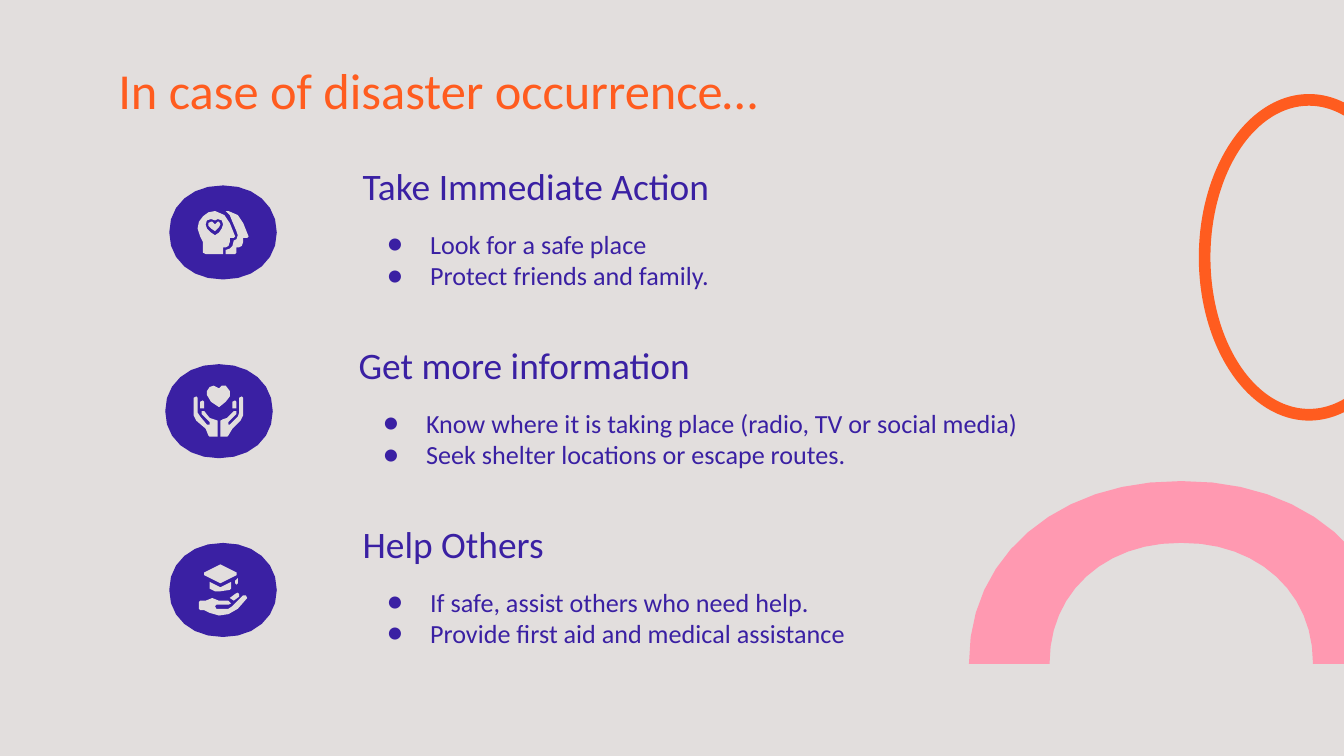
"""Build a slide of three disaster-response steps with icons and bulleted advice."""
import math

from lxml import etree
from pptx import Presentation
from pptx import util as u
from pptx.dml.color import RGBColor
from pptx.enum import shapes, text
from pptx.oxml import ns

PX = 9144
FONT = "Calibri"
COLORS = {"background": "E2DEDD", "orange": "FF5C1F", "purple": "3A20A3", "pink": "FF99B1"}
ROW_STEP = 133
ROUNDNESS = 2 / 2.12
ANGLES = [2 * math.pi * step / 48 for step in range(48)]
ROUND = [(math.copysign(abs(math.cos(angle)) ** ROUNDNESS, math.cos(angle)),
          math.copysign(abs(math.sin(angle)) ** ROUNDNESS, math.sin(angle)))
         for angle in ANGLES]

HEADS_ICON = [
    "168 157,171 160,173 165,176 172,177 175,176 178,174 179,173 183,171 185,168 186,"
    "168 189,175 189,176 188,176 184,178 184,180 183,181 180,181 177,184 177,185 176,"
    "181 166,177 160,170 157",
    "157 165,155 166,155 168,157 170,160 172,163 169,164 167,163 165,162 165,160 167,158 165",
    "162 163,160 164,157 163,154 164,153 167,154 170,157 173,160 175,163 173,165 170,"
    "166 167,165 164/"
    "160 157,155 158,151 161,148 165,147 170,149 176,151 180,151 188,153 189,166 189,"
    "166 184,168 184,170 183,171 180,171 177,174 177,175 176,171 166,167 160",
]
HANDS_ICON = [
    "159 287,156 288,154 291,154 294,157 299,163 303,168 299,171 295,171 291,168 287,"
    "165 287,163 289,161 288",
    "151 298,149 299,149 304,152 304,152 299",
    "175 298,173 299,173 304,176 304,176 299",
    "180 295,178 296,178 307,177 310,171 316,170 316,170 314,176 308,176 306,174 306,"
    "169 311,166 312,164 313,164 325,169 325,170 324,173 319,179 313,181 309,181 296",
    "146 295,144 296,144 305,144 309,146 313,153 319,155 324,156 325,162 325,162 313,"
    "156 311,152 306,150 306,150 308,156 314,156 316,154 316,149 310,147 307,147 296",
]
GRADUATION_ICON = [
    "156 433,156 438,160 440,164 440,171 439,172 438,172 433,164 437",
    "177 430,175 432,175 434,176 435,177 434",
    "164 420,152 426,152 428,164 434,176 428,176 426",
    "177 441,175 442,171 445,174 447,178 444,178 442",
    "182 443,181 443,173 451,170 453,161 453,160 451,161 450,170 450,172 449,170 447,"
    "163 447,158 445,153 447,149 447,148 448,148 453,149 454,152 454,156 456,163 458,"
    "170 457,177 453,184 445,183 443",
]
ROWS = [
    (260, 411, "Take Immediate Action", HEADS_ICON,
     ["Look for a safe place", "Protect friends and family."]),
    (257, 621, "Get more information", HANDS_ICON,
     ["Know where it is taking place (radio, TV or social media)",
      "Seek shelter locations or escape routes."]),
    (260, 434, "Help Others", GRADUATION_ICON,
     ["If safe, assist others who need help.", "Provide first aid and medical assistance"]),
]


def draw(contours, color):
    """Fill one shape made of closed contours."""
    builder = None
    for contour in contours:
        vertices = [(round(x * PX), round(y * PX)) for x, y in contour]
        if builder is None:
            builder = slide.shapes.build_freeform(*vertices[0], scale=1.0)
        else:
            builder.move_to(*vertices[0])
        builder.add_line_segments(vertices[1:], close=True)
    shape = builder.convert_to_shape()
    shape.shadow.inherit = False
    shape.fill.solid()
    shape.fill.fore_color.rgb = RGBColor.from_string(COLORS[color])
    shape.line.fill.background()


def write(shape, box, lines, size, color, anchor=text.MSO_ANCHOR.TOP, bulleted=False):
    """Place a text shape and set its lines."""
    shape.left, shape.top, shape.width, shape.height = [length * PX for length in box]
    frame = shape.text_frame
    frame.word_wrap = True
    frame.auto_size = text.MSO_AUTO_SIZE.NONE
    frame.vertical_anchor = anchor
    frame.margin_left = frame.margin_right = frame.margin_top = frame.margin_bottom = 10 * PX
    for index, line in enumerate(lines):
        paragraph = frame.add_paragraph() if index else frame.paragraphs[0]
        paragraph.alignment = text.PP_ALIGN.LEFT
        paragraph.space_before = u.Pt(0)
        if bulleted:
            properties = paragraph._p.get_or_add_pPr()
            properties.set("marL", str(50 * PX))
            properties.set("indent", str(-32 * PX))
            bullet_color = etree.SubElement(properties, ns.qn("a:buClr"))
            etree.SubElement(bullet_color, ns.qn("a:srgbClr"), val=COLORS[color])
            etree.SubElement(properties, ns.qn("a:buFont"), typeface=FONT)
            etree.SubElement(properties, ns.qn("a:buChar"), char="●")
        run = paragraph.add_run()
        run.text = line
        run.font.name = FONT
        run.font.size = u.Pt(size)
        run.font.bold = False
        run.font.color.rgb = RGBColor.from_string(COLORS[color])


presentation = Presentation()
presentation.slide_width = 1000 * PX
presentation.slide_height = presentation.slide_width * 9 // 16
slide = presentation.slides.add_slide(presentation.slide_layouts.get_by_name("Comparison"))
slide.background.fill.solid()
slide.background.fill.fore_color.rgb = RGBColor.from_string(COLORS["background"])

placeholders = {shape.placeholder_format.idx: shape for shape in slide.placeholders}
spare = placeholders[3].element
spare.getparent().remove(spare)
list_placeholders = [placeholders[index] for index in (1, 2, 4)]

ring = slide.shapes.add_shape(
    shapes.MSO_SHAPE.DONUT, 892 * PX, 70 * PX, 164 * PX, 243 * PX)
ring.adjustments[0] = 0.053
ring.shadow.inherit = False
ring.fill.solid()
ring.fill.fore_color.rgb = RGBColor.from_string(COLORS["orange"])
ring.line.fill.background()

upper_half = ROUND[:25]
outer_edge = [(879 + 158 * x, 494 - 136 * y) for x, y in upper_half]
inner_edge = [(879 + 98 * x, 494 - 90 * y) for x, y in reversed(upper_half)]
draw([outer_edge + inner_edge], "pink")

write(slide.shapes.title, (78, 34, 844, 56), ["In case of disaster occurrence…"], 27, "orange")

for row, (left, list_width, heading, icon, advice) in enumerate(ROWS):
    offset = row * ROW_STEP
    heading_box = slide.shapes.add_textbox(0, 0, 0, 0)
    write(heading_box, (left, 123 + offset, 411, 42), [heading], 20, "purple",
          anchor=text.MSO_ANCHOR.BOTTOM)
    write(list_placeholders[row], (left, 160 + offset, list_width, 64), advice, 14, "purple",
          bulleted=True)
    draw([[(left - 94 + 40 * x, 173 + offset + 35 * y) for x, y in ROUND[::2]]], "purple")
    for outline in icon:
        draw([[tuple(map(int, point.split())) for point in contour.split(",")]
              for contour in outline.split("/")], "background")

presentation.save("out.pptx")
